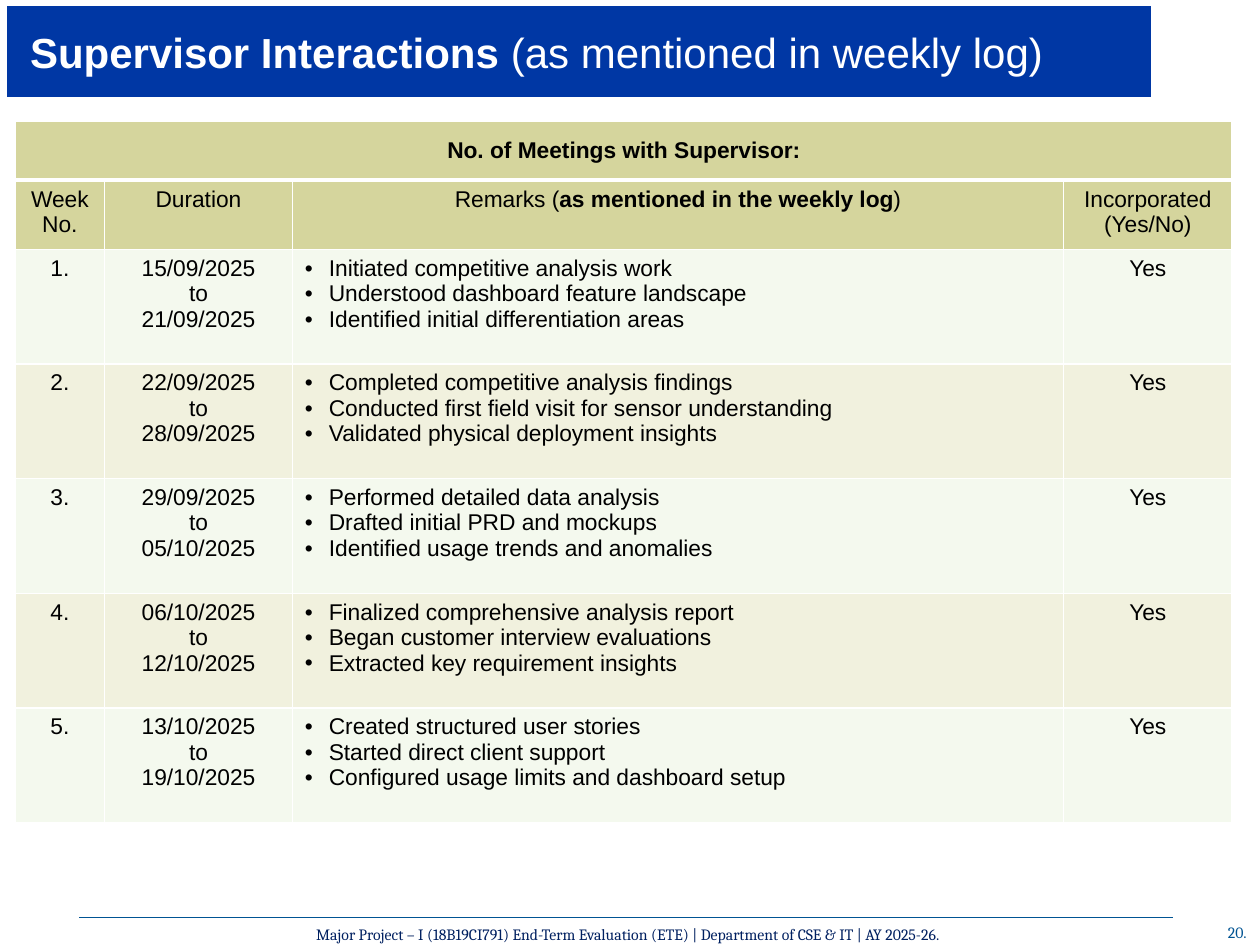
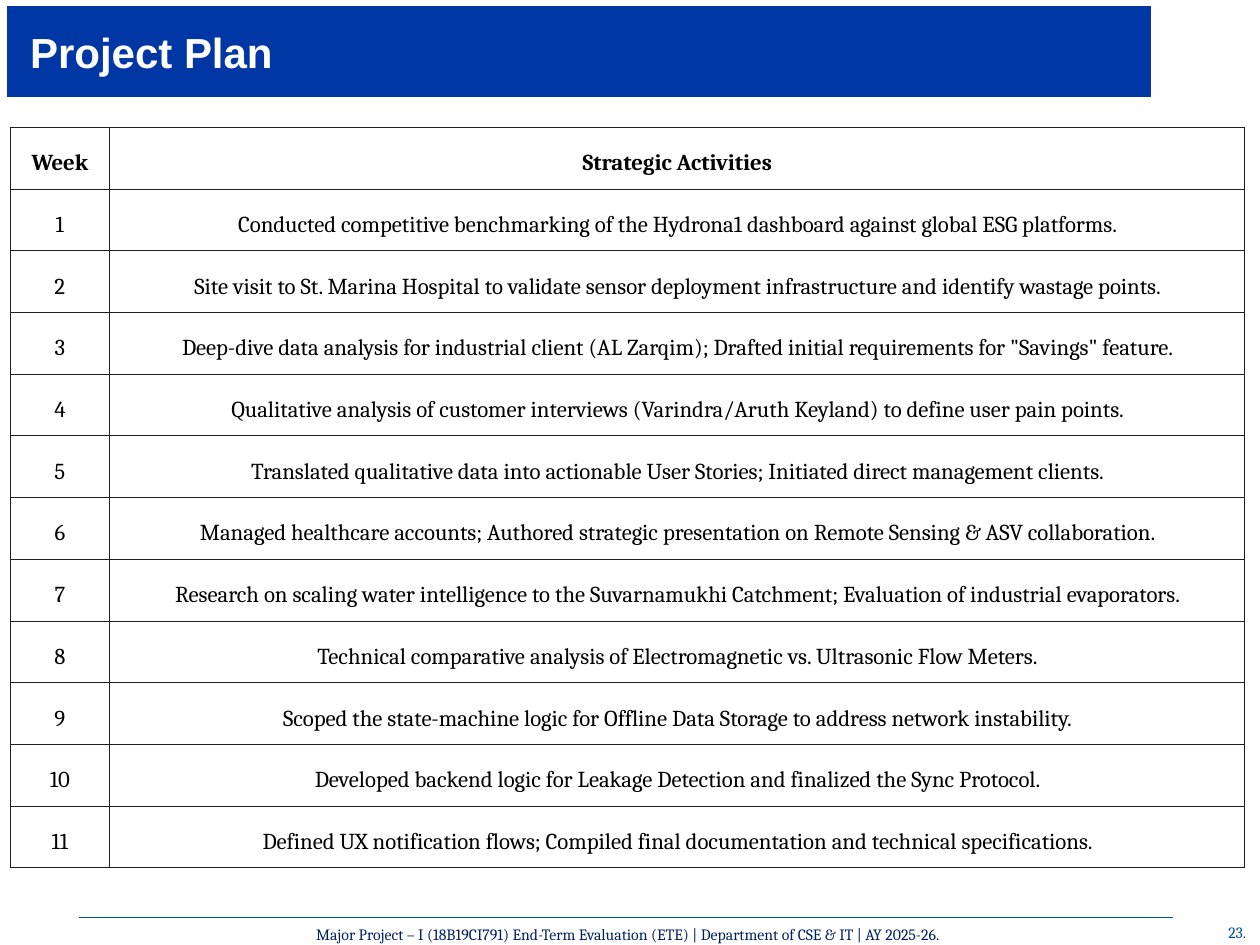
from lxml import etree
from pptx import Presentation
from pptx import util as u
from pptx.dml.color import RGBColor
from pptx.enum import shapes, text
from pptx.oxml import ns

COLORS = {
    "band": "0037A4", "white": "FFFFFF", "black": "000000", "grid": "1F1F1F",
    "head": "D5D59D", "odd": "F4F9EE", "even": "F1F1DE",
    "footer": "002060", "accent": "005493",
}
SANS, SERIF = "Arial", "Cambria"
CENTER, LEFT = text.PP_ALIGN.CENTER, text.PP_ALIGN.LEFT
TOP, MIDDLE = text.MSO_ANCHOR.TOP, text.MSO_ANCHOR.MIDDLE

FOOTER = "Major Project – I (18B19CI791) End-Term Evaluation (ETE) | Department of CSE & IT | AY 2025-26."

MEETINGS_TITLE = [("Supervisor Interactions ", True), ("(as mentioned in weekly log)", False)]
MEETINGS_CAPTION = [("No. of Meetings with Supervisor:", True)]
MEETINGS_HEAD = [
    ["Week No."],
    ["Duration"],
    [[("Remarks (", False), ("as mentioned in the weekly log", True), (")", False)]],
    ["Incorporated", "(Yes/No)"],
]
MEETINGS = [
    ("15/09/2025", "21/09/2025", ["Initiated competitive analysis work",
                                  "Understood dashboard feature landscape",
                                  "Identified initial differentiation areas"]),
    ("22/09/2025", "28/09/2025", ["Completed competitive analysis findings",
                                  "Conducted first field visit for sensor understanding",
                                  "Validated physical deployment insights"]),
    ("29/09/2025", "05/10/2025", ["Performed detailed data analysis",
                                  "Drafted initial PRD and mockups",
                                  "Identified usage trends and anomalies"]),
    ("06/10/2025", "12/10/2025", ["Finalized comprehensive analysis report",
                                  "Began customer interview evaluations",
                                  "Extracted key requirement insights"]),
    ("13/10/2025", "19/10/2025", ["Created structured user stories",
                                  "Started direct client support",
                                  "Configured usage limits and dashboard setup"]),
]
MEETINGS_COLUMNS = [0.71, 1.49, 6.12, 1.34]
MEETINGS_ROWS = [0.47, 0.55] + [0.91] * len(MEETINGS)

PLAN_TITLE = [("Project Plan", True)]
PLAN_HEAD = ("Week", "Strategic Activities")
ACTIVITIES = [
    "Conducted competitive benchmarking of the Hydrona1 dashboard against global ESG platforms.",
    "Site visit to St. Marina Hospital to validate sensor deployment infrastructure and identify wastage points.",
    "Deep-dive data analysis for industrial client (AL Zarqim); Drafted initial requirements for \"Savings\" feature.",
    "Qualitative analysis of customer interviews (Varindra/Aruth Keyland) to define user pain points.",
    "Translated qualitative data into actionable User Stories; Initiated direct management clients.",
    "Managed healthcare accounts; Authored strategic presentation on Remote Sensing & ASV collaboration.",
    "Research on scaling water intelligence to the Suvarnamukhi Catchment; Evaluation of industrial evaporators.",
    "Technical comparative analysis of Electromagnetic vs. Ultrasonic Flow Meters.",
    "Scoped the state-machine logic for Offline Data Storage to address network instability.",
    "Developed backend logic for Leakage Detection and finalized the Sync Protocol.",
    "Defined UX notification flows; Compiled final documentation and technical specifications.",
]
PLAN_COLUMNS = [0.79, 9.01]
PLAN_ROWS = [0.49] * (len(ACTIVITIES) + 1)


def rgb(name):
    return RGBColor.from_string(COLORS[name])


def write(frame, paragraphs, size=13, font=SANS, color="black", bold=False,
          align=CENTER, spacing=None, indent=0, bullet=False):
    for index, spans in enumerate(paragraphs):
        para = frame.paragraphs[0] if index == 0 else frame.add_paragraph()
        para.alignment = align
        if spacing:
            para.line_spacing = spacing
        if indent:
            properties = para._p.get_or_add_pPr()
            properties.set("marL", str(u.Inches(indent)))
            properties.set("indent", str(u.Inches(-indent if bullet else 0)))
            if bullet:
                etree.SubElement(properties, ns.qn("a:buFont"), typeface=SANS)
                etree.SubElement(properties, ns.qn("a:buChar"), char="•")
        if isinstance(spans, str):
            spans = [(spans, bold)]
        for words, strong in spans:
            span = para.add_run()
            span.text = words
            span.font.size = u.Pt(size)
            span.font.name = font
            span.font.bold = strong
            span.font.color.rgb = rgb(color)


def add_label(page, words, left, top, width, height, **style):
    box = page.shapes.add_textbox(*map(u.Inches, (left, top, width, height)))
    frame = box.text_frame
    frame.word_wrap = True
    frame.vertical_anchor = MIDDLE
    frame.margin_left = frame.margin_right = frame.margin_top = frame.margin_bottom = 0
    write(frame, [words], size=9, font=SERIF, **style)


def add_page(deck, title, number):
    page = deck.slides.add_slide(deck.slide_layouts[6])
    add_label(page, FOOTER, 0.23, 7.31, 9.5, 0.21, color="footer")
    add_label(page, f"{number}.", 9.62, 7.27, 0.4, 0.25, color="accent")
    rule = page.shapes.add_connector(
        shapes.MSO_CONNECTOR.STRAIGHT, *map(u.Inches, (0.63, 7.28, 9.31, 7.28)))
    rule.line.color.rgb = rgb("accent")
    rule.line.width = u.Pt(0.75)
    etree.SubElement(rule._element.spPr, ns.qn("a:effectLst"))

    band = page.shapes.add_shape(
        shapes.MSO_SHAPE.RECTANGLE, *map(u.Inches, (0.04, 0.03, 9.11, 0.76)))
    band.shadow.inherit = False
    band.fill.solid()
    band.fill.fore_color.rgb = rgb("band")
    band.line.color.rgb = rgb("white")
    band.line.width = u.Pt(2.5)
    band.text_frame.word_wrap = True
    band.text_frame.vertical_anchor = MIDDLE
    write(band.text_frame, [title], size=24, color="white", align=LEFT, indent=0.1)
    return page


def add_grid(page, left, top, columns, rows):
    frame = page.shapes.add_table(
        len(rows), len(columns), *map(u.Inches, (left, top, sum(columns), sum(rows))))
    table = frame.table
    table.first_row = table.horz_banding = False
    for column, width in zip(table.columns, columns):
        column.width = u.Inches(width)
    for row, height in zip(table.rows, rows):
        row.height = u.Inches(height)
    return table


def style_cell(cell, fill, border, widths, margins=(0.1, 0.05), anchor=TOP):
    cell.margin_left = cell.margin_right = u.Inches(margins[0])
    cell.margin_top = cell.margin_bottom = u.Inches(margins[1])
    cell.vertical_anchor = anchor
    if fill:
        cell.fill.solid()
        cell.fill.fore_color.rgb = rgb(fill)
    else:
        cell.fill.background()
    properties = cell._tc.get_or_add_tcPr()
    for index, (side, width) in enumerate(zip("LRTB", widths)):
        line = etree.Element(ns.qn(f"a:ln{side}"), w=str(u.Pt(width)))
        solid = etree.SubElement(line, ns.qn("a:solidFill"))
        etree.SubElement(solid, ns.qn("a:srgbClr"), val=COLORS[border])
        properties.insert(index, line)


def build_meetings(deck):
    page = add_page(deck, MEETINGS_TITLE, 20)
    table = add_grid(page, 0.12, 0.96, MEETINGS_COLUMNS, MEETINGS_ROWS)
    last = len(MEETINGS_COLUMNS) - 1
    table.cell(0, 0).merge(table.cell(0, last))
    write(table.cell(0, 0).text_frame, [MEETINGS_CAPTION])
    body = [[[f"{week}."], [start, "to", end], remarks, ["Yes"]]
            for week, (start, end, remarks) in enumerate(MEETINGS, 1)]
    for row, cells in enumerate([MEETINGS_HEAD] + body, 1):
        for column, paragraphs in enumerate(cells):
            remark = {"align": LEFT, "indent": 0.19, "bullet": True} if row > 1 and column == 2 else {}
            write(table.cell(row, column).text_frame, paragraphs, **remark)
    for row in range(len(MEETINGS_ROWS)):
        fill = "head" if row < 2 else ("odd", "even")[row % 2]
        widths = {0: (1, 1, 1, 3), 1: (1, 1, 3, 1)}.get(row, (1, 1, 1, 1))
        for cell in table.rows[row].cells:
            style_cell(cell, fill, "white", widths, anchor=TOP if row else MIDDLE)


def build_plan(deck):
    page = add_page(deck, PLAN_TITLE, 23)
    table = add_grid(page, 0.08, 1.01, PLAN_COLUMNS, PLAN_ROWS)
    weeks = [(str(week), activity) for week, activity in enumerate(ACTIVITIES, 1)]
    for row, cells in enumerate([PLAN_HEAD] + weeks):
        for column, words in enumerate(cells):
            cell = table.cell(row, column)
            style_cell(cell, None, "grid", (0.5,) * 4, margins=(0.12, 0.08))
            write(cell.text_frame, [words], font=SERIF, bold=row == 0, spacing=1.5)


def main():
    deck = Presentation()
    deck.slide_width, deck.slide_height = u.Inches(10), u.Inches(7.5)
    build_meetings(deck)
    build_plan(deck)
    deck.save("out.pptx")


if __name__ == "__main__":
    main()
